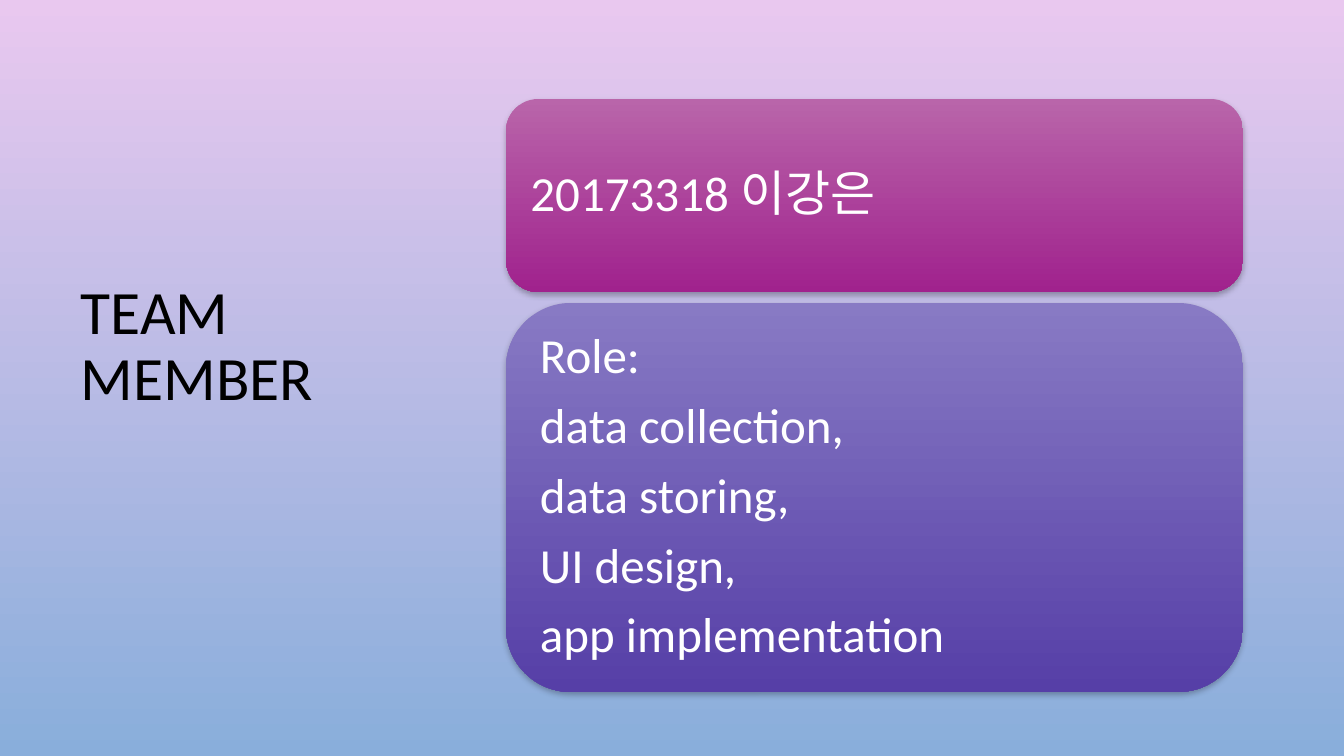
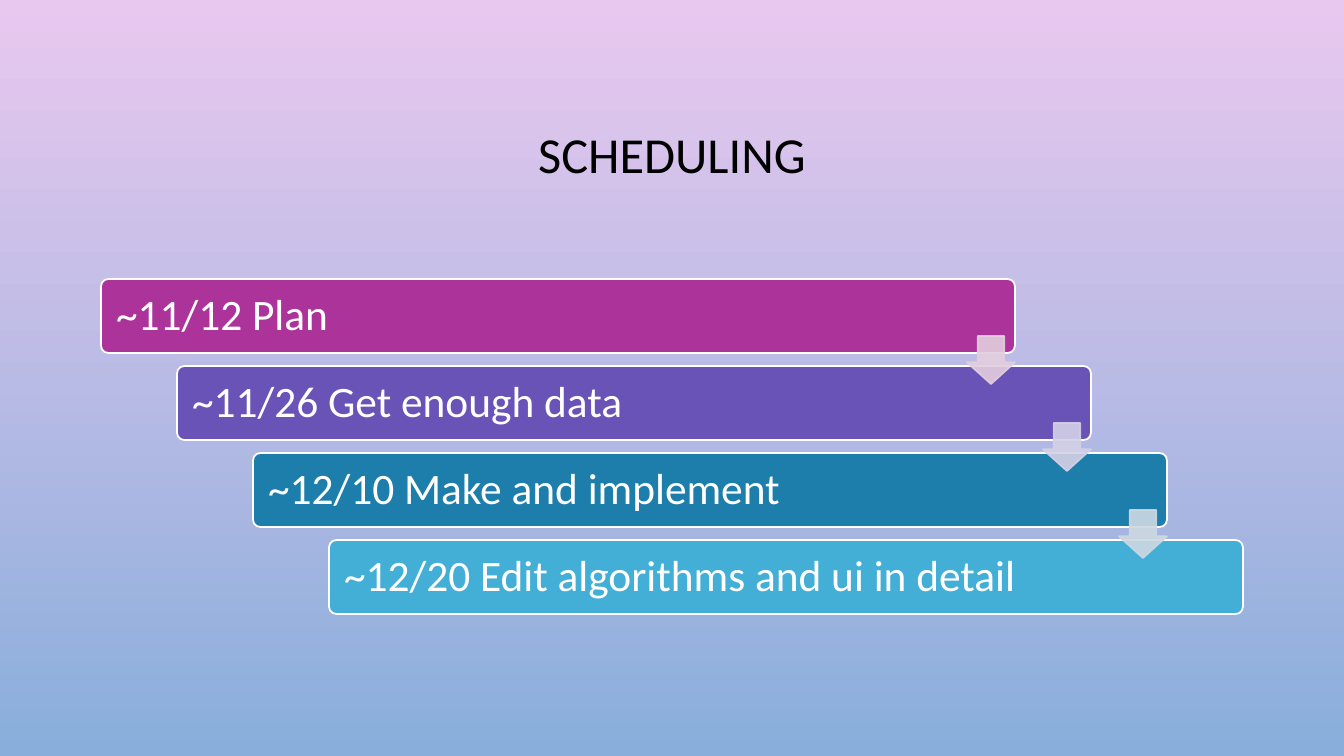
from lxml import etree
from pptx import Presentation
from pptx.dml.color import RGBColor
from pptx.enum.shapes import MSO_SHAPE
from pptx.enum.text import MSO_ANCHOR, PP_ALIGN
from pptx.oxml.ns import qn
from pptx.util import Emu, Pt

ROUND_RECT = MSO_SHAPE.ROUNDED_RECTANGLE
DOWN_ARROW = MSO_SHAPE.DOWN_ARROW
MIDDLE = MSO_ANCHOR.MIDDLE
LEFT, CENTER = PP_ALIGN.LEFT, PP_ALIGN.CENTER

PX = 914400 / 100.8
SLIDE_W, SLIDE_H = 1344, 756
FONT = "Calibri"
LINE_SPACING = 0.9

BLACK = RGBColor(0x00, 0x00, 0x00)
WHITE = RGBColor(0xFF, 0xFF, 0xFF)
PINK = RGBColor(0xE9, 0xC8, 0xEF)
SKY = RGBColor(0x89, 0xAE, 0xDB)
MAGENTA_TOP = RGBColor(0xB9, 0x65, 0xAA)
MAGENTA_END = RGBColor(0xA0, 0x22, 0x8D)
VIOLET_TOP = RGBColor(0x88, 0x7A, 0xC4)
VIOLET_END = RGBColor(0x56, 0x3F, 0xA7)
MAGENTA = RGBColor(0xAC, 0x33, 0x9A)
VIOLET = RGBColor(0x69, 0x53, 0xB7)
BLUE = RGBColor(0x1D, 0x7E, 0xAB)
CYAN = RGBColor(0x43, 0xAF, 0xD6)
ROSE_TINT = RGBColor(0xE3, 0xCE, 0xDE)
VIOLET_TINT = RGBColor(0xD4, 0xD1, 0xE6)
BLUE_TINT = RGBColor(0xCD, 0xD8, 0xE2)

# Content: title, box, size, alignment
TEAM_TITLE = ("TEAM MEMBER", (71, 145, 313, 405), 44, LEFT)
SCHEDULE_TITLE = ("SCHEDULING", (101, 69, 1142, 176), 36, CENTER)

# Lines, height, gradient
CARDS = [
    (["20173318 이강은"], 193, (MAGENTA_TOP, MAGENTA_END)),
    (["Role:", "data collection,", "data storing,", "UI design,",
      "app implementation"], 389, (VIOLET_TOP, VIOLET_END)),
]
CARD_X, CARD_Y, CARD_W, CARD_GAP = 506, 99, 737, 11

STEPS = [
    ("~11/12 Plan", MAGENTA),
    ("~11/26 Get enough data", VIOLET),
    ("~12/10 Make and implement", BLUE),
    ("~12/20 Edit algorithms and ui in detail", CYAN),
]
ARROWS = [ROSE_TINT, VIOLET_TINT, BLUE_TINT]
STEP_X, STEP_Y, STEP_W, STEP_H = 101, 279, 914, 74
STEP_DX, STEP_DY = 76, 87
ARROW_SIZE, ARROW_DROP = 48, 57


def px(*values):
    return [Emu(round(v * PX)) for v in values]


def fill_gradient(fill, colors):
    fill.gradient()
    fill.gradient_angle = 270
    for stop, color in zip(fill.gradient_stops, colors):
        stop.color.rgb = color


def write(sp, lines, size, color, align=LEFT, inset=None, space_after=0):
    tf = sp.text_frame
    tf.word_wrap = True
    tf.vertical_anchor = MIDDLE
    if inset is not None:
        for side in ("left", "top", "right", "bottom"):
            setattr(tf, f"margin_{side}", px(inset)[0])
    for i, line in enumerate(lines):
        p = tf.add_paragraph() if i else tf.paragraphs[0]
        for name, value in {"alignment": align, "line_spacing": LINE_SPACING,
                            "space_after": Pt(space_after)}.items():
            setattr(p, name, value)
        r = p.add_run()
        r.text = line
        for name, value in {"name": FONT, "size": Pt(size)}.items():
            setattr(r.font, name, value)
        r.font.color.rgb = color


def add_title(s, text, box, size, align):
    write(s.shapes.add_textbox(*px(*box)), [text], size, BLACK, align)


def add_shape(s, kind, box, adjustments=()):
    sp = s.shapes.add_shape(kind, *px(*box))
    sp.shadow.inherit = False
    for i, value in enumerate(adjustments):
        sp.adjustments[i] = value
    return sp


def paint(sp, fill, line):
    sp.fill.solid()
    sp.fill.fore_color.rgb = fill
    sp.line.color.rgb = line
    sp.line.width = Pt(1.25)


def add_shadow(sp):
    effects = sp._element.spPr.find(qn("a:effectLst"))
    shadow = etree.SubElement(effects, qn("a:outerShdw"), blurRad=str(Pt(4)),
                              dist=str(Pt(2)), dir="5400000", rotWithShape="0")
    color = etree.SubElement(shadow, qn("a:srgbClr"), val=str(BLACK))
    etree.SubElement(color, qn("a:alpha"), val="28000")


def set_opacity(sp, percent):
    """Make the fill and the line of a shape equally see-through."""
    for color in sp._element.spPr.iter(qn("a:srgbClr")):
        etree.SubElement(color, qn("a:alpha"), val=str(percent * 1000))


def build_team(s):
    add_title(s, *TEAM_TITLE)
    y = CARD_Y
    for lines, height, colors in CARDS:
        sp = add_shape(s, ROUND_RECT, (CARD_X, y, CARD_W, height))
        fill_gradient(sp.fill, colors)
        sp.line.fill.background()
        add_shadow(sp)
        write(sp, lines, 35, WHITE, inset=15, space_after=12)
        y += height + CARD_GAP


def build_schedule(s):
    add_title(s, *SCHEDULE_TITLE)
    for i, (text, color) in enumerate(STEPS):
        box = (STEP_X + i * STEP_DX, STEP_Y + i * STEP_DY, STEP_W, STEP_H)
        sp = add_shape(s, ROUND_RECT, box, [0.1])
        paint(sp, color, WHITE)
        write(sp, [text], 31, WHITE, inset=13)
    for i, color in enumerate(ARROWS):
        x = STEP_X + STEP_W - ARROW_SIZE + i * STEP_DX
        y = STEP_Y + ARROW_DROP + i * STEP_DY
        sp = add_shape(s, DOWN_ARROW, (x, y, ARROW_SIZE, ARROW_SIZE),
                       [0.55, 0.45])
        paint(sp, color, color)
        set_opacity(sp, 90)


def main():
    prs = Presentation()
    prs.slide_width, prs.slide_height = px(SLIDE_W, SLIDE_H)
    fill_gradient(prs.slide_master.background.fill, (PINK, SKY))
    for build in (build_team, build_schedule):
        build(prs.slides.add_slide(prs.slide_layouts[6]))
    prs.save("out.pptx")


if __name__ == "__main__":
    main()
